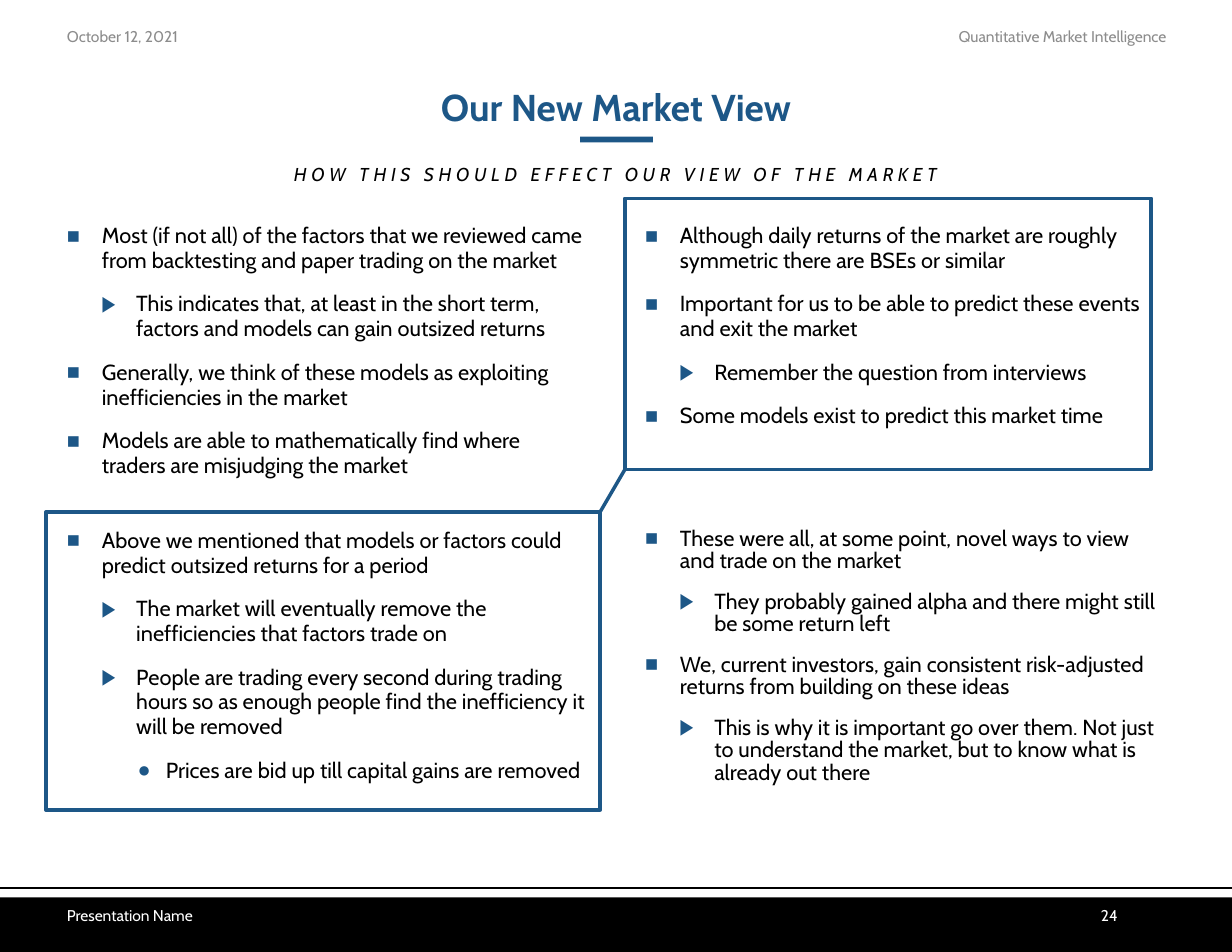
from pptx import Presentation
from pptx.dml.color import RGBColor
from pptx.enum.shapes import MSO_CONNECTOR, MSO_SHAPE
from pptx.enum.text import MSO_ANCHOR, PP_ALIGN
from pptx.oxml.ns import qn
from pptx.util import Cm, Pt
from lxml import etree

BLUE = RGBColor(0x1D, 0x57, 0x87)
BLACK = RGBColor(0, 0, 0)
WHITE = RGBColor(0xFF, 0xFF, 0xFF)
GRAY = RGBColor(0x8C, 0x8C, 0x8C)
FONT = "Cabin"
LEFT, CENTER, RIGHT = PP_ALIGN.LEFT, PP_ALIGN.CENTER, PP_ALIGN.RIGHT
TOP, MIDDLE = MSO_ANCHOR.TOP, MSO_ANCHOR.MIDDLE
RECTANGLE = MSO_SHAPE.RECTANGLE
STRAIGHT = MSO_CONNECTOR.STRAIGHT

# Bullet sign, left margin and hanging indent for each level
LEVELS = [("■", Cm(0.79), Cm(-0.79)),
          ("▶", Cm(1.57), Cm(-0.79)),
          ("●", Cm(2.24), Cm(-0.64))]

deck = Presentation()
deck.slide_width, deck.slide_height = Cm(27.94), Cm(21.59)
page = deck.slides.add_slide(deck.slide_layouts[6])


def add_text(left, top, width, height, text, size, color, align, anchor=MIDDLE):
    box = page.shapes.add_textbox(Cm(left), Cm(top), Cm(width), Cm(height))
    box.text_frame.word_wrap = True
    box.text_frame.vertical_anchor = anchor
    para = box.text_frame.paragraphs[0]
    para.text = text
    para.alignment = align
    para.font.name, para.font.size = FONT, Pt(size)
    para.font.color.rgb = color
    return para


def add_line(x1, y1, x2, y2, color, width):
    line = page.shapes.add_connector(STRAIGHT, Cm(x1), Cm(y1), Cm(x2), Cm(y2))
    line.line.color.rgb = color
    line.line.width = Pt(width)
    etree.SubElement(line._element.spPr, qn("a:effectLst"))


# Footer rule, footer band and title underline
add_line(0, 20.14, 27.94, 20.14, BLACK, 1.5)
for left, top, width, height, color in [(0, 20.35, 27.94, 1.24, BLACK),
                                        (13.16, 3.1, 1.65, 0.13, BLUE)]:
    bar = page.shapes.add_shape(RECTANGLE, Cm(left), Cm(top), Cm(width), Cm(height))
    bar.shadow.inherit = False
    bar.fill.solid()
    bar.fill.fore_color.rgb = color
    bar.line.fill.background()

# Header and footer texts
add_text(1.27, 0.46, 6.3, 0.74, "October 12, 2021", 10, GRAY, LEFT)
add_text(20.4, 0.46, 6.3, 0.74, "Quantitative Market Intelligence", 10, GRAY, RIGHT)
add_text(1.27, 20.47, 6.3, 0.56, "Presentation Name", 10, WHITE, LEFT)
add_text(19.3, 20.47, 6.3, 0.56, "24", 10, WHITE, RIGHT)

# Title and subtitle
title = add_text(1.27, 1.75, 25.4, 1.45, "Our New Market View", 24, BLUE, CENTER)
title.line_spacing = 0.9
title.font.bold = True
subtitle = add_text(1.27, 3.6, 25.4, 1.12,
                    "HOW THIS SHOULD EFFECT OUR VIEW OF THE MARKET",
                    12, BLACK, CENTER, TOP)
subtitle.line_spacing = 0.95
subtitle.font.italic = True
subtitle.runs[0].font._element.set("spc", "300")

# Four bulleted quadrants: left, top, line spacing, (level, text) items
quadrants = [
    (1.27, 4.95, 0.95, [
        (0, "Most (if not all) of the factors that we reviewed came from backtesting and paper trading on the market"),
        (1, "This indicates that, at least in the short term, factors and models can gain outsized returns"),
        (0, "Generally, we think of these models as exploiting inefficiencies in the market"),
        (0, "Models are able to mathematically find where traders are misjudging the market")]),
    (14.38, 4.95, 0.95, [
        (0, "Although daily returns of the market are roughly symmetric there are BSEs or similar"),
        (0, "Important for us to be able to predict these events and exit the market"),
        (1, "Remember the question from interviews"),
        (0, "Some models exist to predict this market time")]),
    (1.27, 11.86, 0.95, [
        (0, "Above we mentioned that models or factors could predict outsized returns for a period"),
        (1, "The market will eventually remove the inefficiencies that factors trade on"),
        (1, "People are trading every second during trading hours so as enough people find the inefficiency it will be removed"),
        (2, "Prices are bid up till capital gains are removed")]),
    (14.38, 11.86, 0.85, [
        (0, "These were all, at some point, novel ways to view and trade on the market"),
        (1, "They probably gained alpha and there might still be some return left"),
        (0, "We, current investors, gain consistent risk-adjusted returns from building on these ideas"),
        (1, "This is why it is important go over them. Not just to understand the market, but to know what is already out there")]),
]
for left, top, spacing, items in quadrants:
    box = page.shapes.add_textbox(Cm(left), Cm(top), Cm(12.29), Cm(6.22))
    frame = box.text_frame
    frame.word_wrap = True
    for index, (level, text) in enumerate(items):
        para = frame.add_paragraph() if index else frame.paragraphs[0]
        para.text = text
        para.level = level
        para.line_spacing = spacing
        para.space_after = Pt(6)
        if index:
            para.space_before = Pt(6)
        sign, margin, indent = LEVELS[level]
        props = para._p.get_or_add_pPr()
        props.set("marL", str(margin))
        props.set("indent", str(indent))
        bullet_color = etree.SubElement(props, qn("a:buClr"))
        etree.SubElement(bullet_color, qn("a:srgbClr"), val=str(BLUE))
        etree.SubElement(props, qn("a:buFont"), typeface="Arial")
        etree.SubElement(props, qn("a:buChar"), char=sign)
        para.font.name, para.font.size = FONT, Pt(14)
        para.font.color.rgb = BLACK

# Highlight frames and the line joining their corners
for left, top, width, height in [(14.17, 4.5, 11.94, 6.15),
                                 (1.04, 11.61, 12.57, 6.76)]:
    outline = page.shapes.add_shape(RECTANGLE, Cm(left), Cm(top), Cm(width), Cm(height))
    outline.shadow.inherit = False
    outline.fill.background()
    outline.line.color.rgb = BLUE
    outline.line.width = Pt(2.25)
add_line(13.61, 11.61, 14.17, 10.65, BLUE, 2.25)

deck.save("out.pptx")
